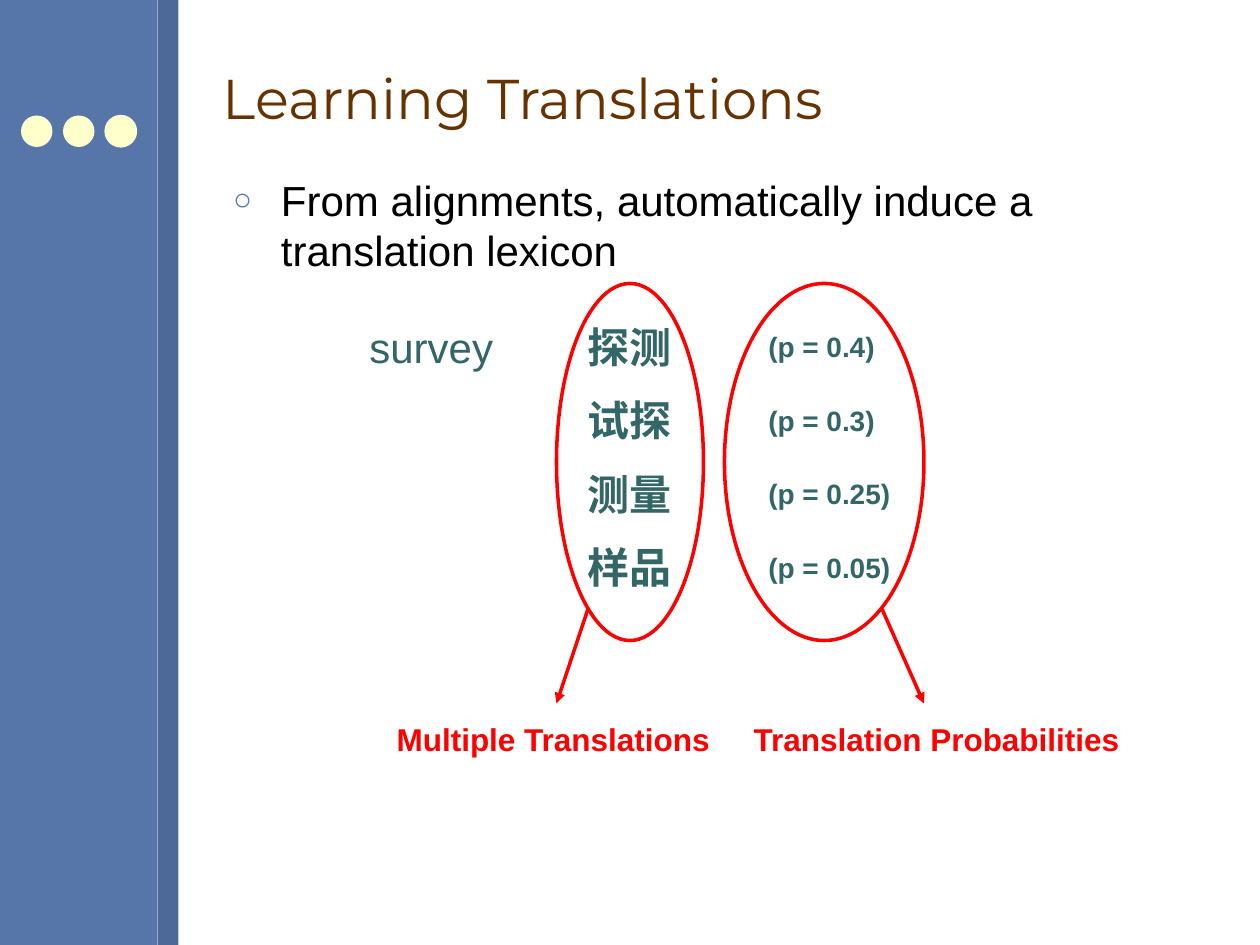
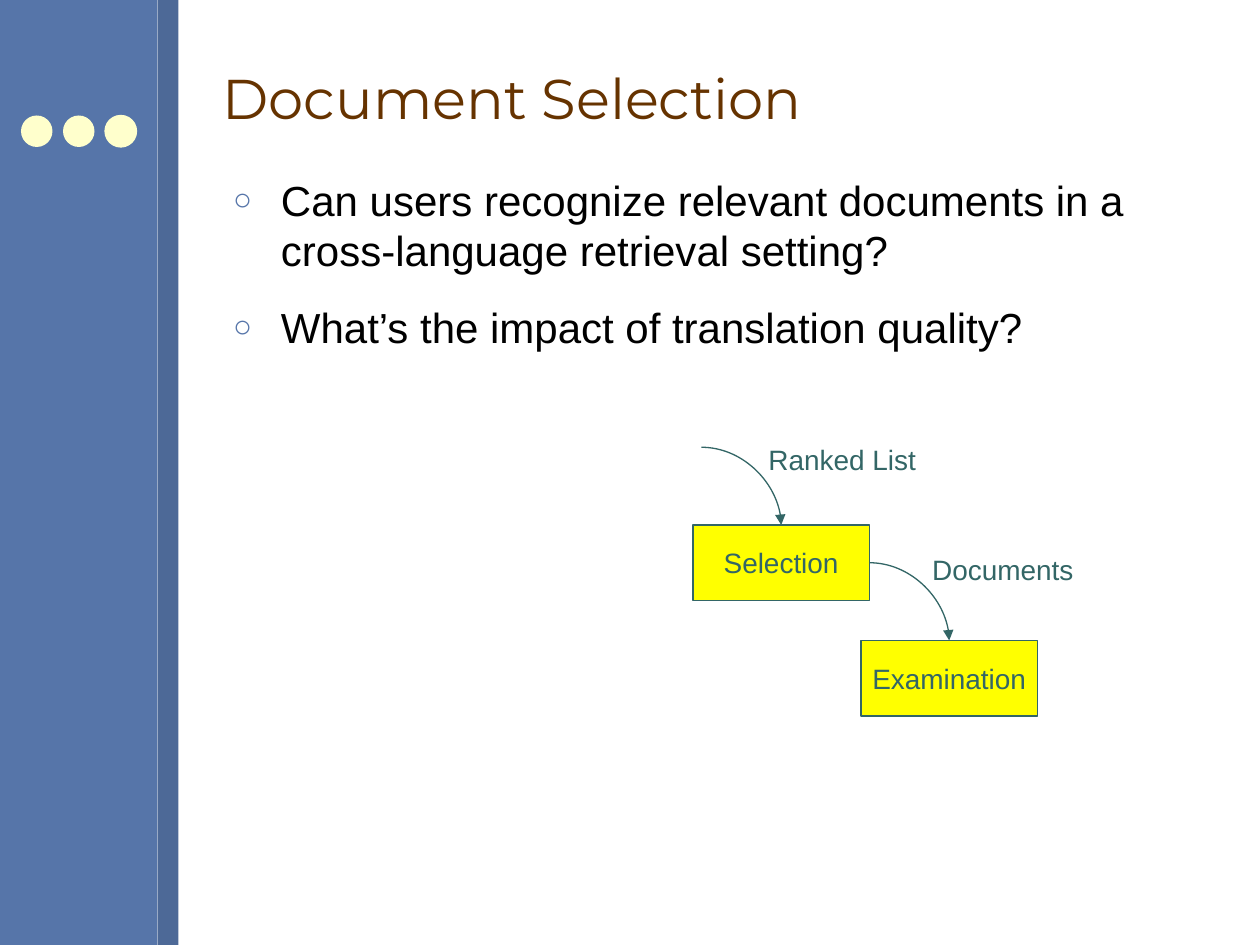
from lxml.etree import SubElement
from pptx import Presentation
from pptx.dml.color import RGBColor
from pptx.enum.shapes import MSO_CONNECTOR, MSO_SHAPE
from pptx.enum.text import MSO_ANCHOR, MSO_AUTO_SIZE, PP_ALIGN
from pptx.oxml.ns import qn
from pptx.util import Inches, Pt

COLS, ROWS = 120, 90
WIDTH, HEIGHT = Inches(10), Inches(7.5)
BLUE, DARK_BLUE, CREAM = "5675A9", "4D6997", "FFFFCC"
BROWN, TEAL, RED, YELLOW, BLACK = "663300", "336666", "FF0000", "FFFF00", "000000"
SANS, TITLE_FONT, CJK = "Arial", "Montserrat", "Noto Sans CJK TC"


def rgb(value):
    """Turn a hex string into a colour."""
    return RGBColor.from_string(value)


def grid(*cells):
    """Turn alternating columns and rows into slide lengths."""
    units = (WIDTH / COLS, HEIGHT / ROWS)
    return [round(cell * units[i % 2]) for i, cell in enumerate(cells)]


def style(p, size, color, font=SANS, bold=False):
    """Format every run of a paragraph."""
    for r in p.runs:
        r.font.size, r.font.bold, r.font.name = Pt(size), bold, font
        r.font.color.rgb = rgb(color)
        if font == CJK:
            SubElement(r.font._element, qn("a:ea"), typeface=font)


def add_shape(s, kind, box, fill=None, line=None, width=0.75):
    """Add a preset shape in a grid box."""
    sp = s.shapes.add_shape(kind, *grid(*box))
    sp.shadow.inherit = False
    if fill:
        sp.fill.solid()
        sp.fill.fore_color.rgb = rgb(fill)
    else:
        sp.fill.background()
    if line:
        sp.line.color.rgb = rgb(line)
        sp.line.width = Pt(width)
    else:
        sp.line.fill.background()
    return sp


def add_label(s, text, box, size, color=TEAL, font=SANS, bold=False, wrap=False):
    """Add a one-line text box in a grid box."""
    tf = s.shapes.add_textbox(*grid(*box)).text_frame
    tf.word_wrap = wrap
    tf.auto_size = MSO_AUTO_SIZE.SHAPE_TO_FIT_TEXT
    tf.text = text
    style(tf.paragraphs[0], size, color, font, bold)


def add_arrow(s, start, end, color, width, curved=False):
    """Add a straight or quarter-turn arrow between two grid points."""
    kind = MSO_CONNECTOR.CURVE if curved else MSO_CONNECTOR.STRAIGHT
    line = s.shapes.add_connector(kind, *grid(*start, *end))
    line.line.color.rgb = rgb(color)
    line.line.width = Pt(width)
    spPr = line._element.spPr
    if curved:
        spPr.find(qn("a:prstGeom")).set("prst", "curvedConnector2")
    SubElement(spPr.find(qn("a:ln")), qn("a:tailEnd"), type="triangle")
    SubElement(spPr, qn("a:effectLst"))


def add_side_band(s):
    """Draw the two-tone band and its three dots."""
    add_shape(s, MSO_SHAPE.RECTANGLE, (0, 0, 15, ROWS), BLUE)
    add_shape(s, MSO_SHAPE.RECTANGLE, (15, 0, 2, ROWS), DARK_BLUE)
    for i, line in enumerate((None, None, CREAM)):
        add_shape(s, MSO_SHAPE.OVAL, (2 + 4 * i, 11, 3, 3), CREAM, line)


def place(sp, box):
    """Move a placeholder to a grid box."""
    sp.left, sp.top, sp.width, sp.height = grid(*box)
    sp.text_frame.auto_size = MSO_AUTO_SIZE.NONE


def fill_title(sp, text):
    """Write the slide title."""
    place(sp, (20, 2.5, 96, 13.5))
    tf = sp.text_frame
    tf.vertical_anchor = MSO_ANCHOR.MIDDLE
    tf.text = text
    tf.paragraphs[0].alignment = PP_ALIGN.LEFT
    style(tf.paragraphs[0], 32, BROWN, TITLE_FONT)


def fill_bullets(sp, items):
    """Write the bulleted list."""
    place(sp, (21, 16, 95, 70))
    tf = sp.text_frame
    tf.text = "\n".join(items)
    for i, p in enumerate(tf.paragraphs):
        pPr = p._p.get_or_add_pPr()
        pPr.set("marL", str(Inches(0.38)))
        pPr.set("indent", str(-Inches(0.38)))
        SubElement(SubElement(pPr, qn("a:buClr")), qn("a:srgbClr"), val=BLUE)
        SubElement(pPr, qn("a:buSzPct"), val="75000")
        SubElement(pPr, qn("a:buFont"), typeface=SANS)
        SubElement(pPr, qn("a:buChar"), char="○")
        p.space_before = Pt(7.5 if i else 0)
        p.space_after = Pt(7.5)
        style(p, 24, BLACK)


def add_content_slide(prs, title, items):
    """Add a slide with band, title and bullets."""
    s = prs.slides.add_slide(prs.slide_layouts[1])
    add_side_band(s)
    fill_title(s.shapes.title, title)
    fill_bullets(s.placeholders[1], items)
    return s


def add_lexicon(s, box, word, entries):
    """List a word's translations and their probabilities in even rows."""
    x, y, w, h = box
    pitch = h / len(entries)
    add_label(s, word, (x, y, 14.2, 6), 24)
    for i, (translation, probability) in enumerate(entries):
        top = y + i * pitch
        add_label(s, translation, (x + 20.8, top, 11.2, 6), 24,
                  font=CJK, bold=True, wrap=True)
        add_label(s, f"(p = {probability})", (x + 38, top + 0.8, w - 38, 4.4),
                  16, bold=True)


def add_callout(s, box, start, end, text, text_box):
    """Ring a column and point from the ring to its red label."""
    x, y = box[:2]
    add_shape(s, MSO_SHAPE.OVAL, box, line=RED, width=2)
    add_arrow(s, (x + start, y + 31), (x + end, y + 40), RED, 2)
    dx, w = text_box
    add_label(s, text, (x + dx, y + 41, w, 4.8), 18, RED, bold=True)


def add_step(s, box, name, label, label_box):
    """Add a process box with the labelled arrow that enters its top."""
    x, y, w, h = box
    tf = add_shape(s, MSO_SHAPE.RECTANGLE, box, YELLOW, TEAL).text_frame
    tf.word_wrap = False
    tf.vertical_anchor = MSO_ANCHOR.MIDDLE
    tf.text = name
    tf.paragraphs[0].alignment = PP_ALIGN.CENTER
    style(tf.paragraphs[0], 16, TEAL)
    mid = x + w / 2
    add_arrow(s, (mid - 7.6, y - 7.4), (mid, y), TEAL, 0.75, curved=True)
    dx, dy, label_w = label_box
    add_label(s, label, (x + dx, y + dy, label_w, 4.4), 16)


def build_translations(prs):
    """Build the slide on learning translations."""
    s = add_content_slide(prs, "Learning Translations", [
        "From alignments, automatically induce a translation lexicon"])
    add_lexicon(s, (34, 30, 52, 28), "survey", [
        ("探测", 0.4), ("试探", 0.3), ("测量", 0.25), ("样品", 0.05)])
    add_callout(s, (53, 27, 14, 34), 3, 0, "Multiple Translations", (-16.4, 32.4))
    add_callout(s, (69, 27, 19, 34), 15, 19, "Translation Probabilities", (1.6, 37.3))


def build_selection(prs):
    """Build the slide on document selection."""
    s = add_content_slide(prs, "Document Selection", [
        "Can users recognize relevant documents in a cross-language retrieval setting?",
        "What’s the impact of translation quality?"])
    add_step(s, (66, 50, 16.8, 7.2), "Selection", "Ranked List", (6, -8.4, 16.5))
    add_step(s, (82, 61, 16.8, 7.2), "Examination", "Documents", (5.6, -9, 16))


def main():
    """Build and save the presentation."""
    prs = Presentation()
    prs.slide_width, prs.slide_height = WIDTH, HEIGHT
    build_translations(prs)
    build_selection(prs)
    prs.save("out.pptx")


if __name__ == "__main__":
    main()
